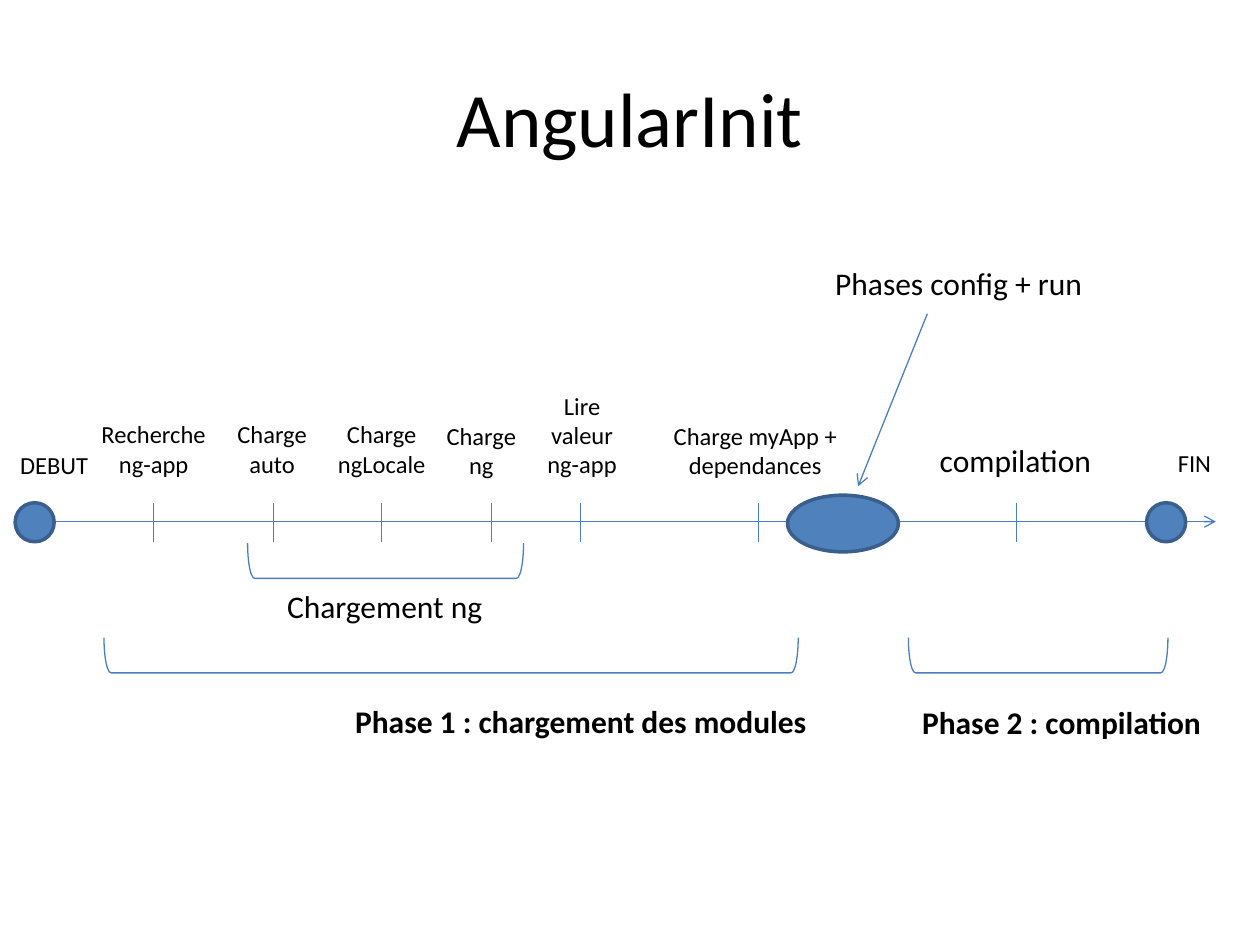
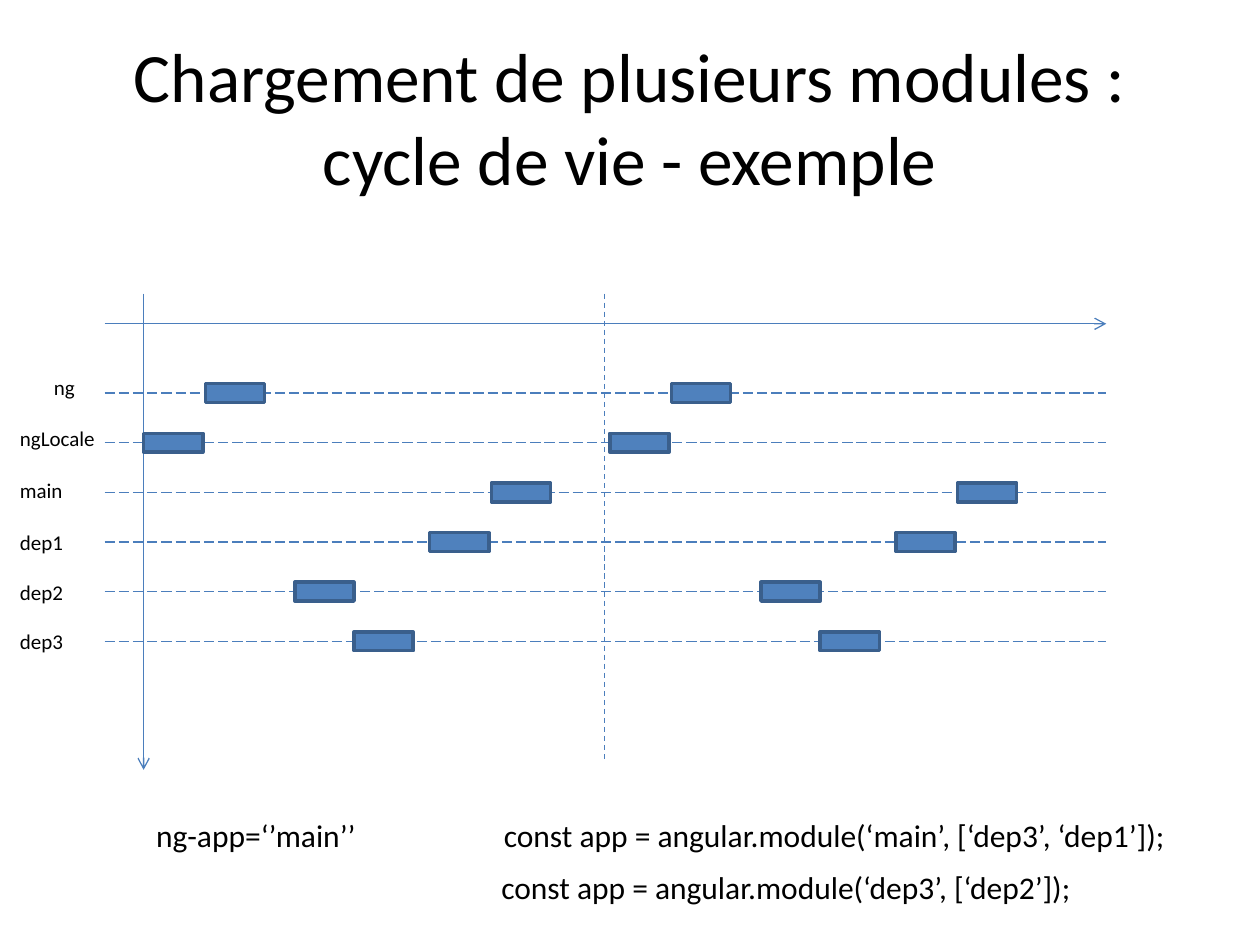
from pptx import Presentation
from pptx.dml.color import RGBColor
from pptx.enum.dml import MSO_LINE
from pptx.enum.shapes import MSO_CONNECTOR, MSO_SHAPE
from pptx.enum.text import MSO_ANCHOR, MSO_AUTO_SIZE, PP_ALIGN
from pptx.oxml.ns import qn
from pptx.util import Inches, Pt
from lxml import etree

BLACK = RGBColor(0x00, 0x00, 0x00)
BLUE = RGBColor(0x4F, 0x81, 0xBD)
DARK_BLUE = RGBColor(0x3A, 0x5F, 0x8C)
LINE_BLUE = RGBColor(0x4B, 0x7E, 0xBC)
FONT = "Calibri"


def add_line(slide, x1, y1, x2, y2, dash=None, arrow=False):
    line = slide.shapes.add_connector(
        MSO_CONNECTOR.STRAIGHT, Inches(x1), Inches(y1), Inches(x2), Inches(y2))
    line.line.color.rgb = LINE_BLUE
    line.line.width = Pt(0.75)
    if dash:
        line.line.dash_style = dash
    properties = line._element.spPr
    if arrow:
        etree.SubElement(properties.find(qn("a:ln")), qn("a:tailEnd"), type="arrow")
    etree.SubElement(properties, qn("a:effectLst"))


def add_label(slide, text, left, top, width, height, size, bold=False, centred=False):
    frame = slide.shapes.add_textbox(
        Inches(left), Inches(top), Inches(width), Inches(height)).text_frame
    frame.word_wrap = centred
    paragraph = frame.paragraphs[0]
    paragraph.alignment = PP_ALIGN.CENTER if centred else PP_ALIGN.LEFT
    run = paragraph.add_run()
    run.text = text
    run.font.name = FONT
    run.font.size = Pt(size)
    run.font.bold = bold
    run.font.color.rgb = BLACK


prs = Presentation()
prs.slide_width, prs.slide_height = Inches(10), Inches(7.5)

# Slides and titles
slides = []
for heading, size in [("AngularInit", 44),
                      ("Chargement de plusieurs modules : cycle de vie - exemple", 39.6)]:
    slide = prs.slides.add_slide(prs.slide_layouts[5])
    title = slide.shapes.title
    title.left, title.top = Inches(0.5), Inches(0.3)
    title.width, title.height = Inches(9), Inches(1.25)
    title.text_frame.auto_size = MSO_AUTO_SIZE.NONE
    title.text_frame.vertical_anchor = MSO_ANCHOR.MIDDLE
    paragraph = title.text_frame.paragraphs[0]
    paragraph.alignment = PP_ALIGN.CENTER
    run = paragraph.add_run()
    run.text = heading
    run.font.name = FONT
    run.font.size = Pt(size)
    run.font.color.rgb = BLACK
    slides.append(slide)
init, lifecycle = slides
solid_shapes = []

# Slide 1: time axis and its ticks
add_line(init, 0.28, 4.14, 9.65, 4.14, arrow=True)
for x in (1.22, 2.17, 3.03, 3.9, 4.61, 6.02, 8.07):
    add_line(init, x, 3.99, x, 4.3)

# Slide 1: step names above the axis
for step, left, top, width, height in [
        ("DEBUT", -0.12, 3.52, 1.1, 0.34),
        ("Recherche ng-app", 0.67, 3.28, 1.1, 0.57),
        ("Charge auto", 1.61, 3.28, 1.1, 0.57),
        ("Charge ngLocale", 2.48, 3.28, 1.1, 0.57),
        ("Charge ng", 3.35, 3.29, 0.94, 0.57),
        ("Lire valeur ng-app", 4.15, 3.05, 0.94, 0.81),
        ("Charge myApp + dependances", 5.18, 3.29, 1.63, 0.57),
        ("FIN", 8.93, 3.51, 1.1, 0.34)]:
    add_label(init, step, left, top, width, height, 14, centred=True)

# Slide 1: brackets under the axis, turned to open upwards
depth = 0.28
for centre_x, centre_y, span in [(3.06, 4.45, 2.19), (3.58, 5.2, 5.51), (8.24, 5.2, 2.06)]:
    bracket = init.shapes.add_shape(
        MSO_SHAPE.LEFT_BRACKET, Inches(centre_x - depth / 2), Inches(centre_y - span / 2),
        Inches(depth), Inches(span))
    bracket.rotation = 270
    bracket.adjustments[0] = 0.2
    bracket.shadow.inherit = False
    bracket.fill.background()
    bracket.line.color.rgb = LINE_BLUE
    bracket.line.width = Pt(0.75)

# Slide 1: phase names
for phase, left, top, width, bold in [
        ("Chargement ng", 2.18, 4.61, 1.77, False),
        ("Phase 1 : chargement des modules", 2.72, 5.52, 3.81, True),
        ("Phase 2 : compilation", 7.22, 5.53, 2.44, True),
        ("compilation", 7.36, 3.45, 1.42, False),
        ("Phases config + run", 6.53, 2.05, 2.19, False)]:
    add_label(init, phase, left, top, width, 0.4, 18, bold=bold)

# Slide 1: start, end and config + run milestones
for left, top, width, height in [(0.12, 3.99, 0.31, 0.31), (9.1, 3.99, 0.31, 0.31),
                                 (6.25, 3.93, 0.88, 0.45)]:
    solid_shapes.append(init.shapes.add_shape(
        MSO_SHAPE.OVAL, Inches(left), Inches(top), Inches(width), Inches(height)))
add_line(init, 7.36, 2.49, 6.81, 3.86, arrow=True)

# Slide 2: axes and the divider between the two phases
add_line(lifecycle, 1.14, 2.33, 1.14, 6.11, arrow=True)
add_line(lifecycle, 0.83, 2.57, 8.78, 2.57, arrow=True)
add_line(lifecycle, 4.8, 2.33, 4.8, 6.03, dash=MSO_LINE.DASH)

# Slide 2: one row per module, with a block in each phase
first_row, row_step, phase_step = 3.12, 0.394, 3.7
block_width, block_height = 0.47, 0.15
modules = [("ng", 0.33, 2.92, 0.37, 1.63), ("ngLocale", 0.06, 3.33, 0.8, 1.14),
           ("main", 0.06, 3.74, 0.54, 3.9), ("dep1", 0.06, 4.15, 0.55, 3.41),
           ("dep2", 0.06, 4.55, 0.55, 2.34), ("dep3", 0.06, 4.94, 0.55, 2.81)]
for row, (module, left, top, width, block_left) in enumerate(modules):
    row_y = first_row + row * row_step
    add_line(lifecycle, 0.83, row_y, 8.78, row_y, dash=MSO_LINE.LONG_DASH)
    add_label(lifecycle, module, left, top, width, 0.3, 12)
    for phase in range(2):
        solid_shapes.append(lifecycle.shapes.add_shape(
            MSO_SHAPE.RECTANGLE, Inches(block_left + phase * phase_step),
            Inches(row_y - block_height / 2), Inches(block_width), Inches(block_height)))

# Slide 2: code lines
for code, left, top, width in [
        ("ng-app=‘’main’’", 1.14, 6.43, 1.8),
        ("const app = angular.module(‘main’, [‘dep3’, ‘dep1’]);", 3.9, 6.43, 5.54),
        ("const app = angular.module(‘dep3’, [‘dep2’]);", 3.88, 6.84, 4.78)]:
    add_label(lifecycle, code, left, top, width, 0.4, 18)

# Shared look of milestones and module blocks
for shape in solid_shapes:
    shape.shadow.inherit = False
    shape.fill.solid()
    shape.fill.fore_color.rgb = BLUE
    shape.line.color.rgb = DARK_BLUE
    shape.line.width = Pt(2)

prs.save("out.pptx")
